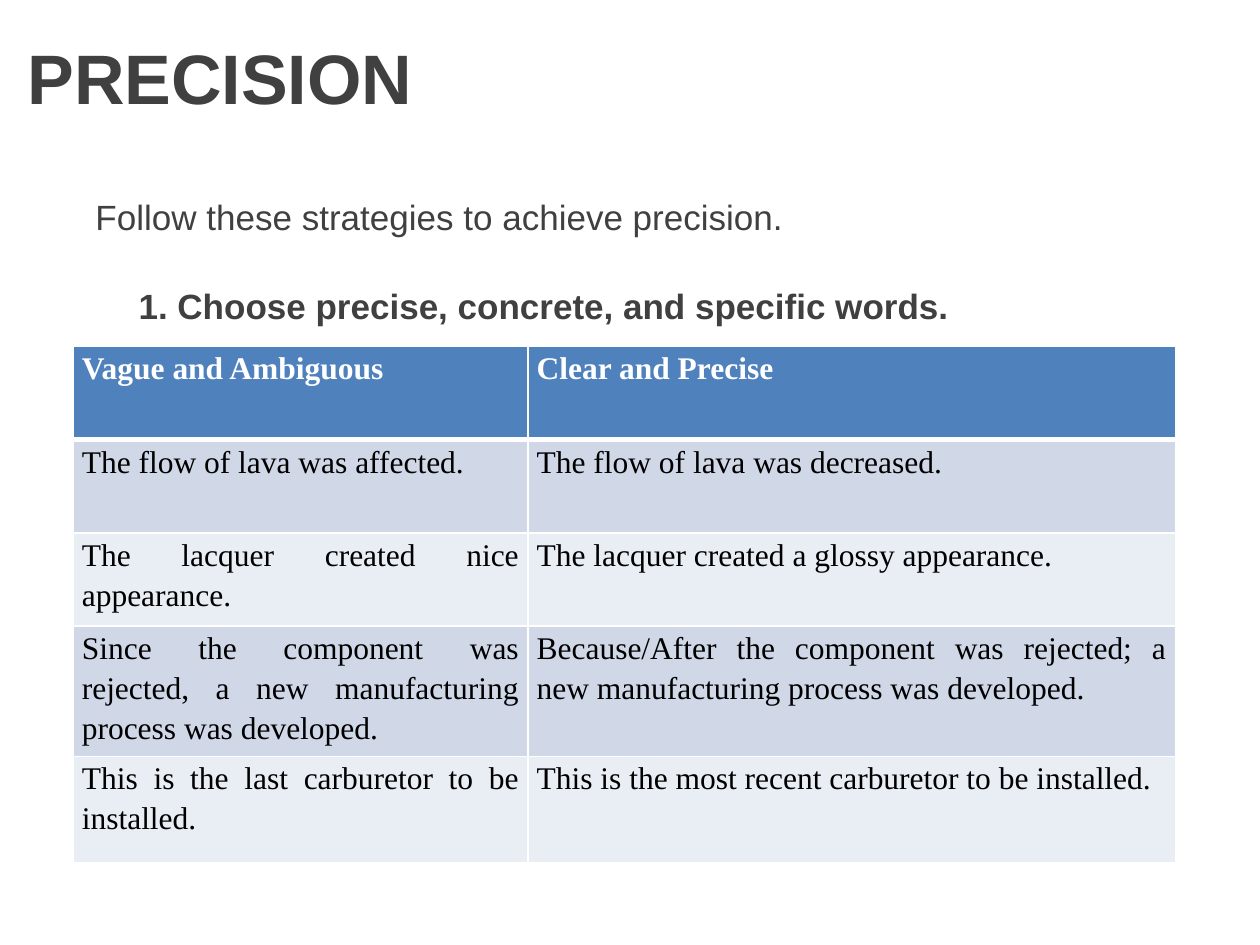
import pptx
import pptx.util
import pptx.dml.color
import pptx.enum.text
import pptx.oxml
import pptx.oxml.ns

Inches, Pt = pptx.util.Inches, pptx.util.Pt
RGBColor = pptx.dml.color.RGBColor
ANCHOR = pptx.enum.text.MSO_ANCHOR
ALIGN = pptx.enum.text.PP_ALIGN

DARK_GRAY = RGBColor(0x40, 0x40, 0x40)
WHITE = RGBColor(0xFF, 0xFF, 0xFF)
BLACK = RGBColor(0, 0, 0)
HEADER_BLUE = RGBColor(0x4F, 0x81, 0xBD)
BAND_FILLS = [RGBColor(0xD0, 0xD8, 0xE8), RGBColor(0xE9, 0xED, 0xF4)]

# Content: text, box (left, top, width, height), left inset, anchor, size, bold
TEXTS = [
    ("PRECISION", (0.12, 0.02, 9.88, 1.17), 0.1, ANCHOR.MIDDLE, 40, True),
    ("Follow these strategies to achieve precision.",
     (0.66, 1.47, 8.84, 0.5), 0.1, ANCHOR.MIDDLE, 20, False),
    ("1. Choose precise, concrete, and specific words.",
     (0.67, 2.21, 8.84, 0.5), 0.43, ANCHOR.TOP, 20, True),
]
# "\v" marks a line break inside a paragraph
ROWS = [
    ("Vague and Ambiguous", "Clear and Precise"),
    ("The flow of lava was affected.", "The flow of lava was decreased."),
    ("The lacquer created nice\vappearance.",
     "The lacquer created a glossy appearance."),
    ("Since the component was\vrejected, a new manufacturing process was developed.",
     "Because/After the component was rejected; a\vnew manufacturing process was developed."),
    ("This is the last carburetor to be\vinstalled.",
     "This is the most recent carburetor to be installed."),
]
TABLE_LEFT, TABLE_TOP = 0.58, 2.75
COLUMN_WIDTHS = [3.61, 5.14]
ROW_HEIGHTS = [0.74, 0.74, 0.74, 0.84, 0.84]


def set_attributes(target, values):
    for name, value in values.items():
        setattr(target, name, value)


def set_font(paragraph, name, size, color, bold):
    set_attributes(paragraph.font, {"name": name, "size": Pt(size), "bold": bold})
    paragraph.font.color.rgb = color


def set_borders(cell, widths):
    properties = cell._tc.get_or_add_tcPr()
    for position, (side, width) in enumerate(widths.items()):
        properties.insert(position, pptx.oxml.parse_xml(
            f'<a:{side} {pptx.oxml.ns.nsdecls("a")} w="{Pt(width)}"><a:solidFill>'
            f'<a:srgbClr val="{WHITE}"/></a:solidFill></a:{side}>'))


presentation = pptx.Presentation()
set_attributes(presentation, {"slide_width": Inches(10), "slide_height": Inches(7.5)})
slide = presentation.slides.add_slide(presentation.slide_layouts[6])

# Title and strategy lines
for text, box, inset, anchor, size, bold in TEXTS:
    frame = slide.shapes.add_textbox(*map(Inches, box)).text_frame
    set_attributes(frame, {"word_wrap": True, "vertical_anchor": anchor,
                           "margin_left": Inches(inset), "text": text})
    set_font(frame.paragraphs[0], "Arial", size, DARK_GRAY, bold)

# Comparison table
table = slide.shapes.add_table(
    len(ROWS), len(COLUMN_WIDTHS), Inches(TABLE_LEFT), Inches(TABLE_TOP),
    Inches(sum(COLUMN_WIDTHS)), Inches(sum(ROW_HEIGHTS))).table
for column, width in zip(table.columns, COLUMN_WIDTHS):
    column.width = Inches(width)
for row, height in zip(table.rows, ROW_HEIGHTS):
    row.height = Inches(height)

for row_index, texts in enumerate(ROWS):
    is_header = row_index == 0
    fill = HEADER_BLUE if is_header else BAND_FILLS[(row_index - 1) % 2]
    for column_index, text in enumerate(texts):
        cell = table.cell(row_index, column_index)
        set_attributes(cell, {"text": text, "margin_left": Inches(0.07),
                              "margin_right": Inches(0.07),
                              "margin_top": 0, "margin_bottom": 0})
        cell.fill.solid()
        cell.fill.fore_color.rgb = fill
        set_borders(cell, {"lnL": 1, "lnR": 1, "lnT": 3 if row_index == 1 else 1,
                           "lnB": 3 if is_header else 1})
        paragraph = cell.text_frame.paragraphs[0]
        set_attributes(paragraph, {"alignment": ALIGN.JUSTIFY, "line_spacing": 1.15})
        set_font(paragraph, "Times New Roman", 18, WHITE if is_header else BLACK, is_header)

presentation.save("out.pptx")
